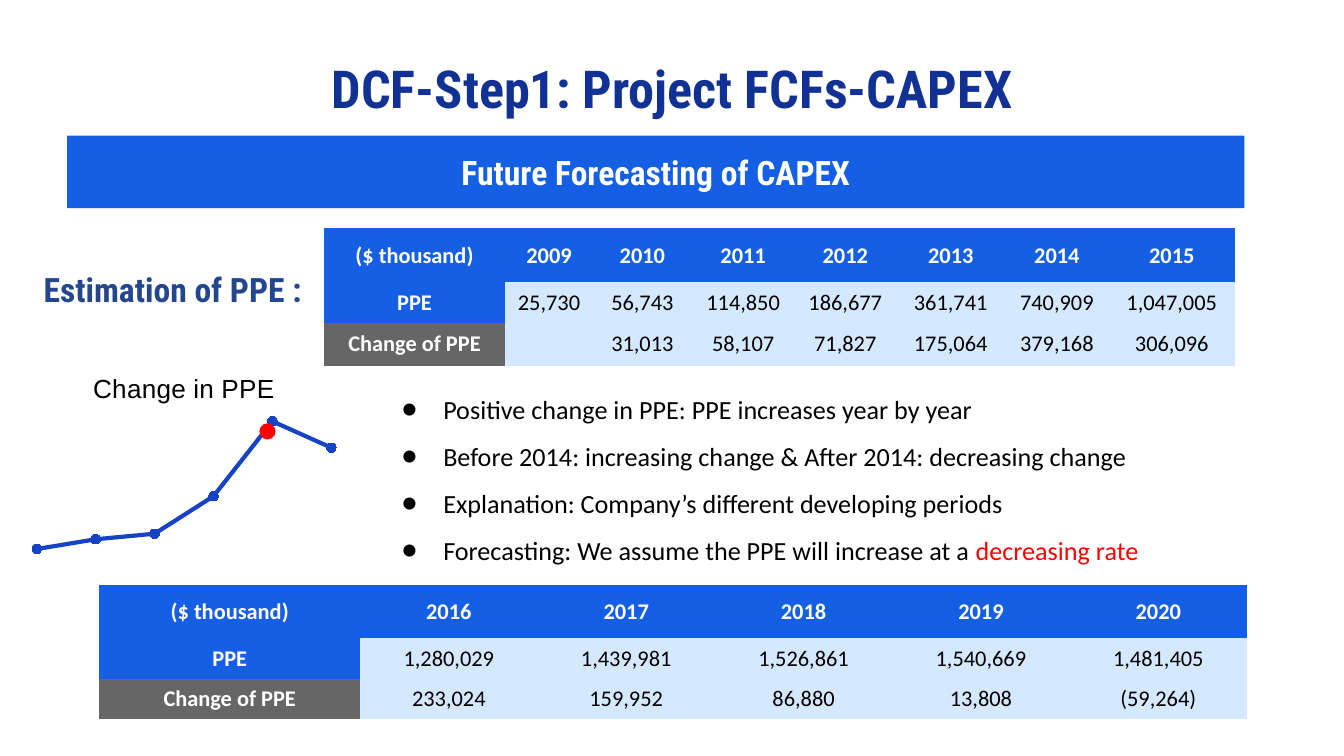
from lxml import etree
from pptx import Presentation, util as u
from pptx.chart.data import CategoryChartData
from pptx.dml.color import RGBColor
from pptx.enum import chart as ch, shapes, text
from pptx.oxml import parse_xml
from pptx.oxml.ns import nsdecls, qn

COLORS = {"title": "113294", "blue": "155FE5", "label": "24468F", "pale": "D4E8FF",
          "gray": "666666", "line": "1642C5", "red": "FF0000", "black": "000000",
          "white": "FFFFFF"}
HEADING, BODY = "Roboto Condensed", "Calibri"
SLIDE_WIDTH = 10
SLIDE_HEIGHT = SLIDE_WIDTH * 9 / 16
ROW_HEIGHTS = [0.34, 0.26, 0.26]
PLAIN_TABLE = "{2D5ABB26-0587-4C30-8999-92F81FD0307C}"

TITLE = "DCF-Step1: Project FCFs-CAPEX"
BANNER = "Future Forecasting of CAPEX"
ESTIMATION = "Estimation of PPE :"
TABLES = [
    {"at": (2.41, 1.7), "cols": [1.35, 0.65, 0.74, 0.76, 0.76, 0.81, 0.77, 0.94], "rows": [
        ["($ thousand)", "2009", "2010", "2011", "2012", "2013", "2014", "2015"],
        ["PPE", "25,730", "56,743", "114,850", "186,677", "361,741", "740,909", "1,047,005"],
        ["Change of PPE", "", "31,013", "58,107", "71,827", "175,064", "379,168", "306,096"]]},
    {"at": (0.74, 4.35), "cols": [1.94] + [1.32] * 5, "rows": [
        ["($ thousand)", "2016", "2017", "2018", "2019", "2020"],
        ["PPE", "1,280,029", "1,439,981", "1,526,861", "1,540,669", "1,481,405"],
        ["Change of PPE", "233,024", "159,952", "86,880", "13,808", "(59,264)"]]},
]
BULLETS = [
    [("Positive change in PPE: PPE increases year by year", "black")],
    [("Before 2014: increasing change & After 2014: decreasing change", "black")],
    [("Explanation: Company’s different developing periods", "black")],
    [("Forecasting: We assume the PPE will increase at a ", "black"), ("decreasing rate", "red")],
]
CHART_TITLE = "Change in PPE"
CHANGES = [8, 15, 19, 46, 100, 81]


def rgb(name):
    return RGBColor.from_string(COLORS[name])


def inches(*lengths):
    return [u.Inches(length) for length in lengths]


def style(font, color, **values):
    for key, value in values.items():
        setattr(font, key, value)
    font.color.rgb = rgb(color)


def set_margins(target, width):
    for side in ("left", "right", "top", "bottom"):
        setattr(target, "margin_" + side, u.Inches(width))


def paint(shape, color):
    shape.shadow.inherit = False
    shape.fill.solid()
    shape.fill.fore_color.rgb = rgb(color)
    shape.line.fill.background()


def write_heading(shape, words, size, color):
    frame = shape.text_frame
    frame.word_wrap = True
    frame.auto_size = text.MSO_AUTO_SIZE.NONE
    frame.vertical_anchor = text.MSO_ANCHOR.MIDDLE
    set_margins(frame, 0.1)
    line = frame.paragraphs[0]
    line.alignment = text.PP_ALIGN.CENTER
    run = line.add_run()
    run.text = words
    style(run.font, color, name=HEADING, size=u.Pt(size), bold=True)


def add_ppe_table(slide, content):
    rows, cols = content["rows"], content["cols"]
    table = slide.shapes.add_table(
        len(rows), len(cols), *inches(*content["at"], sum(cols), 1)).table
    table._tbl.tblPr.find(qn("a:tableStyleId")).text = PLAIN_TABLE
    for column, width in zip(table.columns, cols):
        column.width = u.Inches(width)
    for r, values in enumerate(rows):
        table.rows[r].height = u.Inches(ROW_HEIGHTS[r])
        for c, value in enumerate(values):
            cell = table.cell(r, c)
            heading = r == 0 or c == 0
            fill = "pale" if not heading else "gray" if r == 2 else "blue"
            cell.fill.solid()
            cell.fill.fore_color.rgb = rgb(fill)
            cell.vertical_anchor = text.MSO_ANCHOR.MIDDLE
            set_margins(cell, 0.1 if r == 0 else 0.05 if c == 0 else 0.01)
            line = cell.text_frame.paragraphs[0]
            line.alignment = text.PP_ALIGN.CENTER
            if value:
                run = line.add_run()
                run.text = value
                style(run.font, "white" if heading else "black",
                      name=BODY, size=u.Pt(12), bold=heading)


def layout_xml(inner=False, **shares):
    """Manual chart layout, in shares of the chart's size."""
    tags = '<c:layoutTarget val="inner"/>' if inner else ""
    tags += "".join(f'<c:{key}Mode val="edge"/>' for key in ("x", "y"))
    tags += "".join(f'<c:{key} val="{value}"/>' for key, value in shares.items())
    return parse_xml(f'<c:layout {nsdecls("c")}><c:manualLayout>{tags}</c:manualLayout></c:layout>')


def add_change_chart(slide):
    data = CategoryChartData(number_format="#,##0")
    data.categories = [str(n + 1) for n in range(len(CHANGES))]
    data.add_series("Series 1", CHANGES)
    chart = slide.shapes.add_chart(
        ch.XL_CHART_TYPE.LINE_MARKERS, *inches(0, 2.65, 2.74, 1.55), data).chart
    style(chart.font, "black", name="Arial", size=u.Pt(10))
    chart.has_legend = False
    chart.has_title = True
    heading = chart.chart_title
    run = heading.text_frame.paragraphs[0].add_run()
    run.text = CHART_TITLE
    style(run.font, "black", name="Arial", size=u.Pt(14), bold=False)
    for axis in (chart.category_axis, chart.value_axis):
        axis.has_major_gridlines = False
        axis.visible = False
    chart.value_axis.minimum_scale, chart.value_axis.maximum_scale = 0, 120

    plot = chart.plots[0]
    plot.vary_by_categories = False
    series = plot.series[0]
    series.smooth = False
    series.format.line.width = u.Pt(2.25)
    series.format.line.color.rgb = rgb("line")
    marker = series.marker
    marker.style, marker.size = ch.XL_MARKER_STYLE.CIRCLE, 5
    marker.format.fill.solid()
    marker.format.fill.fore_color.rgb = rgb("line")
    marker.format.line.color.rgb = rgb("line")

    plot_area = plot._element.getparent()
    for parent, index, layout in (
            (plot_area, 0, layout_xml(True, x=0.02, y=0.18, w=0.96, h=0.8)),
            (heading._element, 1, layout_xml(x=0.24, y=0.05))):
        for old in parent.findall(qn("c:layout")):
            parent.remove(old)
        parent.insert(index, layout)


def add_bullets(slide):
    frame = slide.shapes.add_textbox(*inches(2.89, 2.71, 6.3, 1.55)).text_frame
    frame.word_wrap = True
    set_margins(frame, 0.1)
    for n, parts in enumerate(BULLETS):
        line = frame.add_paragraph() if n else frame.paragraphs[0]
        line.line_spacing = 1.5
        properties = line._p.get_or_add_pPr()
        properties.set("marL", str(u.Inches(0.31)))
        properties.set("indent", str(-u.Inches(0.31)))
        color = etree.SubElement(properties, qn("a:buClr"))
        etree.SubElement(color, qn("a:srgbClr"), val=COLORS["black"])
        etree.SubElement(properties, qn("a:buSzPts"), val="1400")
        etree.SubElement(properties, qn("a:buFont"), typeface=BODY)
        etree.SubElement(properties, qn("a:buChar"), char="●")
        for words, shade in parts:
            run = line.add_run()
            run.text = words
            style(run.font, shade, name=BODY, size=u.Pt(14))


def main():
    deck = Presentation()
    deck.slide_width, deck.slide_height = inches(SLIDE_WIDTH, SLIDE_HEIGHT)
    slide = deck.slides.add_slide(deck.slide_layouts[5])

    title = slide.shapes.title
    title.left, title.top, title.width, title.height = inches(0.5, 0.45, 9, 0.41)
    write_heading(title, TITLE, 28, "title")
    banner = slide.shapes.add_shape(shapes.MSO_SHAPE.RECTANGLE, *inches(0.5, 1.01, 8.76, 0.54))
    paint(banner, "blue")
    write_heading(banner, BANNER, 18, "white")
    estimation = slide.shapes.add_textbox(*inches(0.16, 2, 2.25, 0.3))
    write_heading(estimation, ESTIMATION, 18, "label")

    add_change_chart(slide)
    turning_point = slide.shapes.add_shape(shapes.MSO_SHAPE.OVAL, *inches(1.93, 3.15, 0.12, 0.12))
    paint(turning_point, "red")
    add_bullets(slide)
    for content in TABLES:
        add_ppe_table(slide, content)
    deck.save("out.pptx")


if __name__ == "__main__":
    main()
